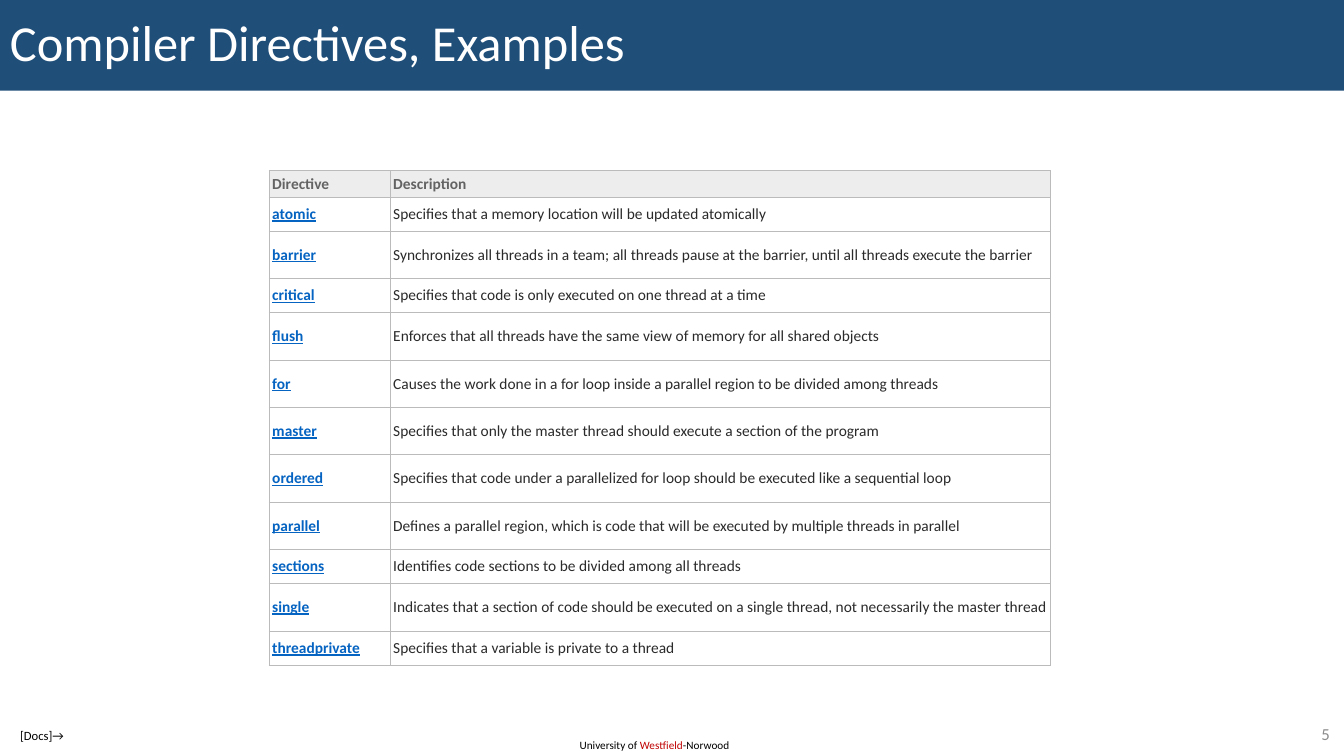
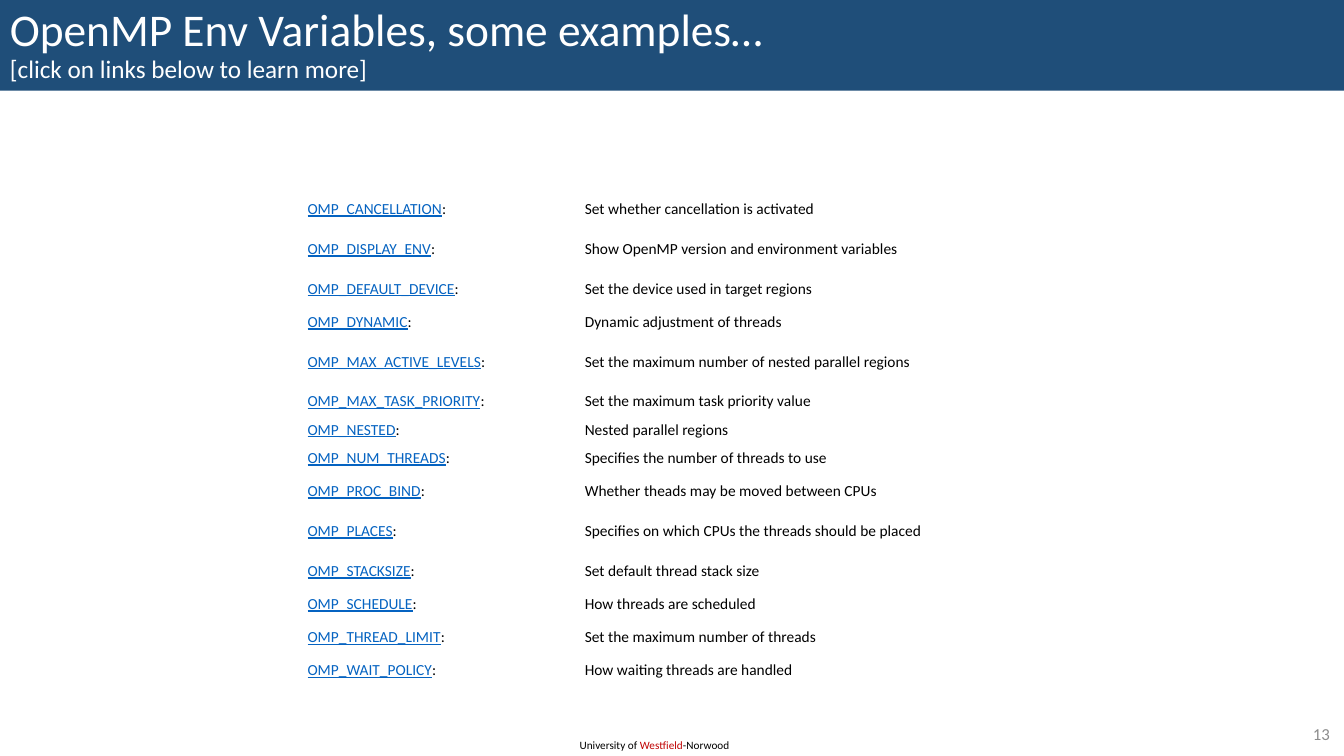
from lxml.etree import SubElement
from pptx import Presentation
from pptx.dml.color import RGBColor
from pptx.enum.shapes import MSO_SHAPE
from pptx.enum.text import MSO_ANCHOR, PP_ALIGN
from pptx.oxml.ns import qn
from pptx.util import Inches, Pt

COLORS = {
    "band": "1F4E79", "title": "FFFFFF", "text": "000000", "accent": "C00000",
    "number": "8C8C8C", "link": "0563C1", "header": "636363",
    "header_fill": "EDEDED", "description": "2A2A2A", "border": "BBBBBB",
}
FONT = "Calibri"
TABLE_SIZE = 11

DIRECTIVES = [
    ("atomic", "Specifies that a memory location will be updated atomically"),
    ("barrier", "Synchronizes all threads in a team; all threads pause at the barrier, "
                "until all threads execute the barrier"),
    ("critical", "Specifies that code is only executed on one thread at a time"),
    ("flush", "Enforces that all threads have the same view of memory for all shared objects"),
    ("for", "Causes the work done in a for loop inside a parallel region "
            "to be divided among threads"),
    ("master", "Specifies that only the master thread should execute a section of the program"),
    ("ordered", "Specifies that code under a parallelized for loop should be executed "
                "like a sequential loop"),
    ("parallel", "Defines a parallel region, which is code that will be executed "
                 "by multiple threads in parallel"),
    ("sections", "Identifies code sections to be divided among all threads"),
    ("single", "Indicates that a section of code should be executed on a single thread, "
               "not necessarily the master thread"),
    ("threadprivate", "Specifies that a variable is private to a thread"),
]
SHORT_DIRECTIVES = {"atomic", "critical", "sections", "threadprivate"}

VARIABLES = [
    ("OMP_CANCELLATION", "Set whether cancellation is activated"),
    ("OMP_DISPLAY_ENV", "Show OpenMP version and environment variables"),
    ("OMP_DEFAULT_DEVICE", "Set the device used in target regions"),
    ("OMP_DYNAMIC", "Dynamic adjustment of threads"),
    ("OMP_MAX_ACTIVE_LEVELS", "Set the maximum number of nested parallel regions"),
    ("OMP_MAX_TASK_PRIORITY", "Set the maximum task priority value"),
    ("OMP_NESTED", "Nested parallel regions"),
    ("OMP_NUM_THREADS", "Specifies the number of threads to use"),
    ("OMP_PROC_BIND", "Whether theads may be moved between CPUs"),
    ("OMP_PLACES", "Specifies on which CPUs the threads should be placed"),
    ("OMP_STACKSIZE", "Set default thread stack size"),
    ("OMP_SCHEDULE", "How threads are scheduled"),
    ("OMP_THREAD_LIMIT", "Set the maximum number of threads"),
    ("OMP_WAIT_POLICY", "How waiting threads are handled"),
]
VARIABLE_HEIGHTS = {"OMP_DISPLAY_ENV": 0.46, "OMP_MAX_ACTIVE_LEVELS": 0.46,
                    "OMP_PLACES": 0.46, "OMP_NESTED": 0.23}


def rgb(name):
    """Return the named colour."""
    return RGBColor.from_string(COLORS[name])


def add_run(paragraph, text, size, color, bold=False, underline=False):
    """Append one styled run."""
    run = paragraph.add_run()
    run.text = text
    run.font.name = FONT
    run.font.size = Pt(size)
    run.font.bold = bold
    run.font.underline = underline
    run.font.color.rgb = rgb(color)


def add_label(slide, box, runs, size, align=PP_ALIGN.LEFT, anchor=MSO_ANCHOR.TOP):
    """Add a one-line text box of (text, colour) runs."""
    frame = slide.shapes.add_textbox(*map(Inches, box)).text_frame
    frame.word_wrap = True
    frame.vertical_anchor = anchor
    line = frame.paragraphs[0]
    line.alignment = align
    for text, color in runs:
        add_run(line, text, size, color)


def add_title(slide, lines):
    """Add the title band with (text, size) lines."""
    band = slide.shapes.add_shape(MSO_SHAPE.RECTANGLE, 0, 0, Inches(13.33), Inches(0.9))
    band.shadow.inherit = False
    band.fill.solid()
    band.fill.fore_color.rgb = rgb("band")
    band.line.fill.background()
    band.text_frame.word_wrap = True
    band.text_frame.vertical_anchor = MSO_ANCHOR.MIDDLE
    title = band.text_frame.paragraphs[0]
    title.alignment = PP_ALIGN.LEFT
    title.line_spacing = 0.9
    for index, (text, size) in enumerate(lines):
        if index:
            title.add_line_break()
        add_run(title, text, size, "title")


def add_page(deck, title_lines, number):
    """Add a slide with title band, footer and number."""
    slide = deck.slides.add_slide(deck.slide_layouts[6])
    add_label(slide, (5.65, 7.28, 1.72, 0.24),
              [("University of ", "text"), ("Westfield", "accent"), ("-Norwood", "text")], 8)
    add_title(slide, title_lines)
    add_label(slide, (12.53, 7.13, 0.76, 0.29), [(str(number), "number")], 12,
              PP_ALIGN.RIGHT, MSO_ANCHOR.MIDDLE)
    return slide


def add_borders(cell):
    """Draw thin lines on all four sides of a cell."""
    properties = cell._tc.get_or_add_tcPr()
    for side in ("a:lnL", "a:lnR", "a:lnT", "a:lnB"):
        line = SubElement(properties, qn(side), w=str(Pt(0.6)))
        fill = SubElement(line, qn("a:solidFill"))
        SubElement(fill, qn("a:srgbClr"), val=COLORS["border"])


def fill_cell(cell, runs, insets, fill=None, bordered=False):
    """Write runs, given as add_run options, into a cell."""
    cell.margin_left = cell.margin_right = Inches(insets[0])
    cell.margin_top = cell.margin_bottom = Inches(insets[1])
    cell.vertical_anchor = MSO_ANCHOR.MIDDLE
    if bordered:
        add_borders(cell)
    if fill:
        cell.fill.solid()
        cell.fill.fore_color.rgb = rgb(fill)
    else:
        cell.fill.background()
    paragraph = cell.text_frame.paragraphs[0]
    for options in runs:
        add_run(paragraph, size=TABLE_SIZE, **options)
    if not runs:
        SubElement(paragraph._p, qn("a:endParaRPr"), sz=str(TABLE_SIZE * 100))


def add_grid(slide, left, top, widths, heights):
    """Add an unbanded table with the given column widths and row heights."""
    frame = slide.shapes.add_table(len(heights), len(widths), Inches(left), Inches(top),
                                   Inches(sum(widths)), Inches(sum(heights)))
    table = frame.table
    table.first_row = table.horz_banding = False
    for column, width in zip(table.columns, widths):
        column.width = Inches(width)
    for row, height in zip(table.rows, heights):
        row.height = Inches(height)
    return table


def add_directives(slide):
    """Add the bordered table of directives."""
    heights = [0.26] + [0.34 if name in SHORT_DIRECTIVES else 0.47 for name, _ in DIRECTIVES]
    table = add_grid(slide, 2.67, 1.69, (1.2, 6.55), heights)
    insets = (0.03, 0.04)
    for column, heading in enumerate(("Directive", "Description")):
        fill_cell(table.cell(0, column), [dict(text=heading, color="header", bold=True)],
                  insets, "header_fill", True)
    for row, (name, description) in enumerate(DIRECTIVES, 1):
        directive = dict(text=name, color="link", bold=True, underline=True)
        fill_cell(table.cell(row, 0), [directive], insets, bordered=True)
        fill_cell(table.cell(row, 1), [dict(text=description, color="description")],
                  insets, bordered=True)


def add_variables(slide):
    """Add the open table of environment variables."""
    heights = [VARIABLE_HEIGHTS.get(name, 0.33) for name, _ in VARIABLES]
    table = add_grid(slide, 3, 1.91, (2.25, 0.5, 4.08), heights)
    for row, (name, description) in enumerate(VARIABLES):
        variable = [dict(text=name, color="link", underline=True), dict(text=":", color="text")]
        meaning = [dict(text=description, color="text")]
        for column, runs in enumerate((variable, [], meaning)):
            fill_cell(table.cell(row, column), runs, (0.05, 0.02))


def main():
    """Build and save the deck."""
    deck = Presentation()
    deck.slide_width, deck.slide_height = Inches(13.33), Inches(7.5)

    directives = add_page(deck, [("Compiler Directives, Examples", 36)], 5)
    add_directives(directives)
    add_label(directives, (0.1, 7.17, 0.72, 0.25), [("[Docs]→", "text")], 9)

    variables = add_page(deck, [("OpenMP Env Variables, some examples…", 32.4),
                                ("[click on links below to learn more]", 18)], 13)
    add_variables(variables)
    deck.save("out.pptx")


if __name__ == "__main__":
    main()
